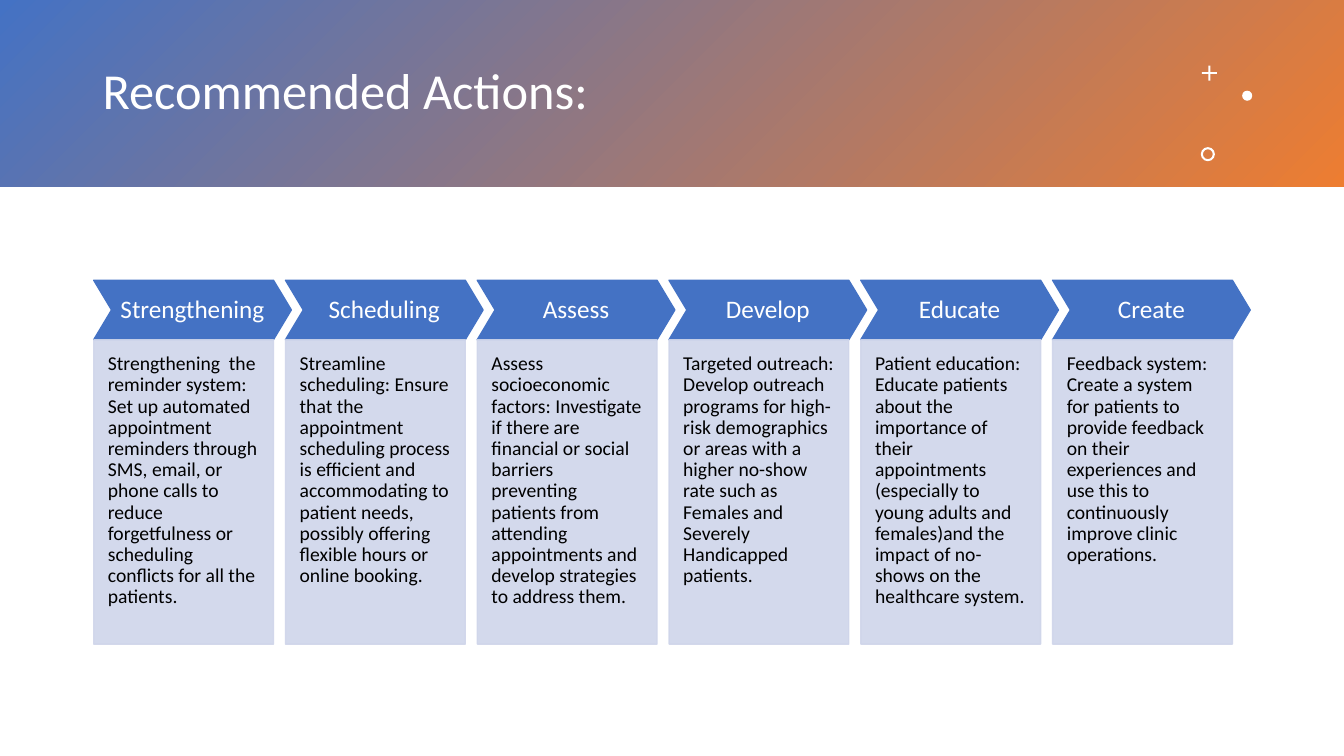
import pptx
import pptx.util
import pptx.dml.color
import pptx.enum.shapes
import pptx.enum.text
import pptx.oxml.ns
import lxml.etree

Inches = pptx.util.Inches
Pt = pptx.util.Pt
RGBColor = pptx.dml.color.RGBColor
SHAPE = pptx.enum.shapes.MSO_SHAPE
ALIGN = pptx.enum.text.PP_ALIGN
ANCHOR = pptx.enum.text.MSO_ANCHOR

WHITE = RGBColor(0xFF, 0xFF, 0xFF)
BLACK = RGBColor(0x00, 0x00, 0x00)
BLUE = RGBColor(0x44, 0x72, 0xC4)
ORANGE = RGBColor(0xED, 0x7D, 0x31)
PALE = RGBColor(0xCF, 0xD5, 0xEA)

STEPS = [
    ("Strengthening",
     "Strengthening  the reminder system: Set up automated appointment reminders "
     "through SMS, email, or phone calls to reduce forgetfulness or scheduling "
     "conflicts for all the patients."),
    ("Scheduling",
     "Streamline scheduling: Ensure that the appointment scheduling process is "
     "efficient and accommodating to patient needs, possibly offering flexible "
     "hours or online booking."),
    ("Assess",
     "Assess socioeconomic factors: Investigate if there are financial or social "
     "barriers preventing patients from attending appointments and develop "
     "strategies to address them."),
    ("Develop",
     "Targeted outreach: Develop outreach programs for high-risk demographics or "
     "areas with a higher no-show rate such as Females and Severely Handicapped "
     "patients."),
    ("Educate",
     "Patient education: Educate patients about the importance of their "
     "appointments (especially to young adults and females)and the impact of "
     "no-shows on the healthcare system."),
    ("Create",
     "Feedback system: Create a system for patients to provide feedback on their "
     "experiences and use this to continuously improve clinic operations."),
]


def write(shape, text, size, color, align=ALIGN.LEFT, anchor=ANCHOR.MIDDLE,
          pads=(0.1, 0.05, 0.1, 0.05)):
    """Fill a shape with text; pads are left, top, right, bottom in inches."""
    frame = shape.text_frame
    frame.word_wrap = True
    frame.vertical_anchor = anchor
    frame.margin_left, frame.margin_top, frame.margin_right, frame.margin_bottom = (
        Inches(pad) for pad in pads)
    para = frame.paragraphs[0]
    para.alignment = align
    para.line_spacing = 0.9
    run = para.add_run()
    run.text = text
    run.font.name = "Calibri"
    run.font.size = Pt(size)
    run.font.color.rgb = color


def draw(slide, kind, box, color, adjust=None, line=False):
    shape = slide.shapes.add_shape(kind, *(Inches(n) for n in box))
    shape.shadow.inherit = False
    shape.fill.solid()
    shape.fill.fore_color.rgb = color
    if line:
        shape.line.color.rgb = color
        shape.line.width = Pt(1)
    else:
        shape.line.fill.background()
    if adjust is not None:
        shape.adjustments[0] = adjust
    return shape


def fade(shape, percent):
    """Make the fill and line of a shape partly transparent."""
    for color in shape._element.spPr.iter(pptx.oxml.ns.qn("a:srgbClr")):
        alpha = lxml.etree.SubElement(color, pptx.oxml.ns.qn("a:alpha"))
        alpha.set("val", str(percent * 1000))


def banner(slide, left, top, width, height):
    band = draw(slide, SHAPE.RECTANGLE, (left, top, width, height), BLUE)
    band.fill.gradient()
    band.fill.gradient_angle = 315
    for stop, color in zip(band.fill.gradient_stops, (BLUE, ORANGE)):
        stop.color.rgb = color
    title = slide.shapes.add_textbox(
        Inches(left + 0.92), Inches(top + 0.33), Inches(10.75), Inches(1.19))
    write(title, "Recommended Actions:", 36, WHITE)
    marks(slide, left + 11.91, top + 0.65)


def marks(slide, left, top):
    """Place the plus, dot and ring."""
    draw(slide, SHAPE.CROSS, (left + 0.01, top, 0.15, 0.15), WHITE, 0.44)
    draw(slide, SHAPE.OVAL, (left + 0.41, top + 0.25, 0.1, 0.1), WHITE)
    draw(slide, SHAPE.DONUT, (left, top + 0.81, 0.14, 0.14), WHITE, 0.15)


def column(slide, left, top, width, height, head, body):
    """Draw a chevron heading above its panel of text."""
    tall = 0.59
    panel = width - 0.3 * tall
    arrow = draw(slide, SHAPE.CHEVRON, (left, top, width, tall), BLUE, 0.3, True)
    write(arrow, head, 18, WHITE, align=ALIGN.CENTER, pads=(0.07,) * 4)
    card = draw(slide, SHAPE.RECTANGLE,
                (left, top + tall, panel, height - tall), PALE, line=True)
    fade(card, 90)
    write(card, body, 14, BLACK, anchor=ANCHOR.TOP, pads=(0.14, 0.14, 0.14, 0.28))


def process(slide, left, top, width, height):
    wide = 1.96
    pitch = (width - wide) / (len(STEPS) - 1)
    for i, (head, body) in enumerate(STEPS):
        column(slide, left + i * pitch, top, wide, height, head, body)


def main():
    deck = pptx.Presentation()
    deck.slide_width = Inches(13.33)
    deck.slide_height = Inches(7.5)
    slide = deck.slides.add_slide(deck.slide_layouts[6])
    banner(slide, 0, 0, 13.33, 1.85)
    process(slide, 0.93, 2.78, 11.47, 3.61)
    deck.save("out.pptx")


if __name__ == "__main__":
    main()
